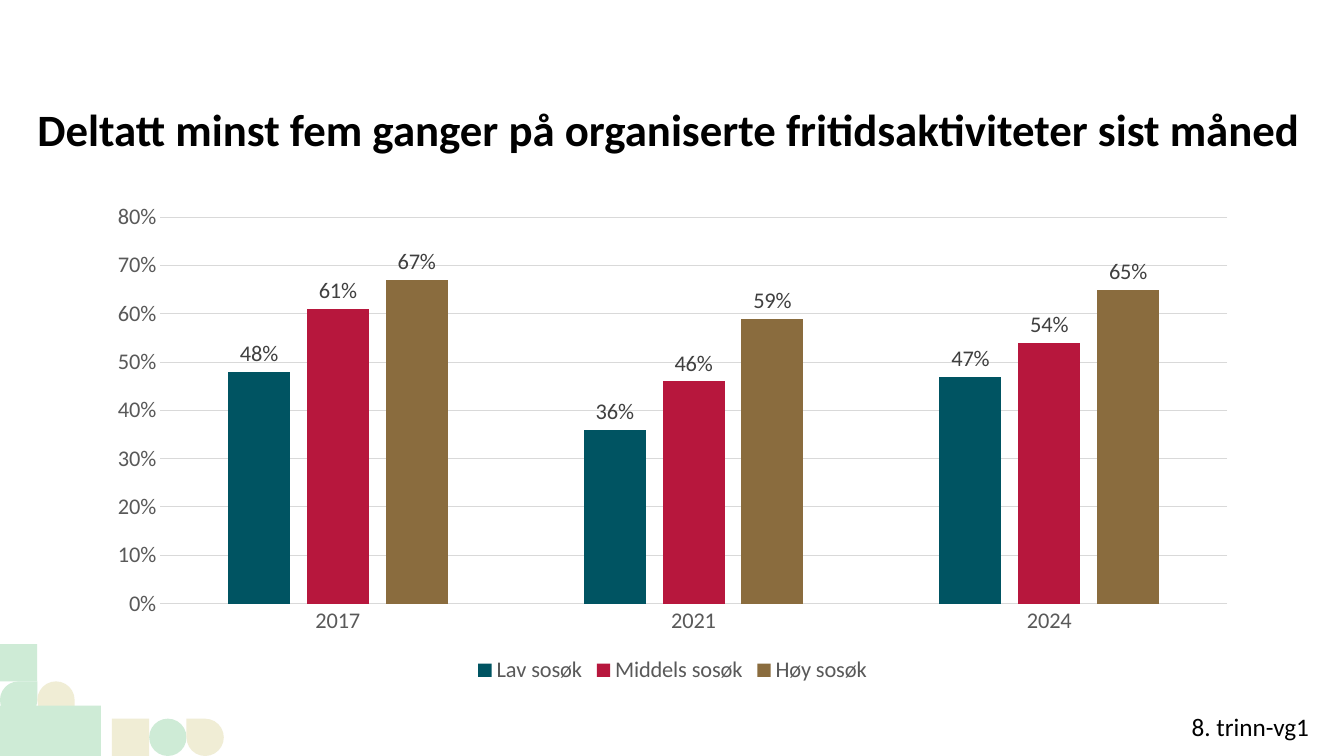
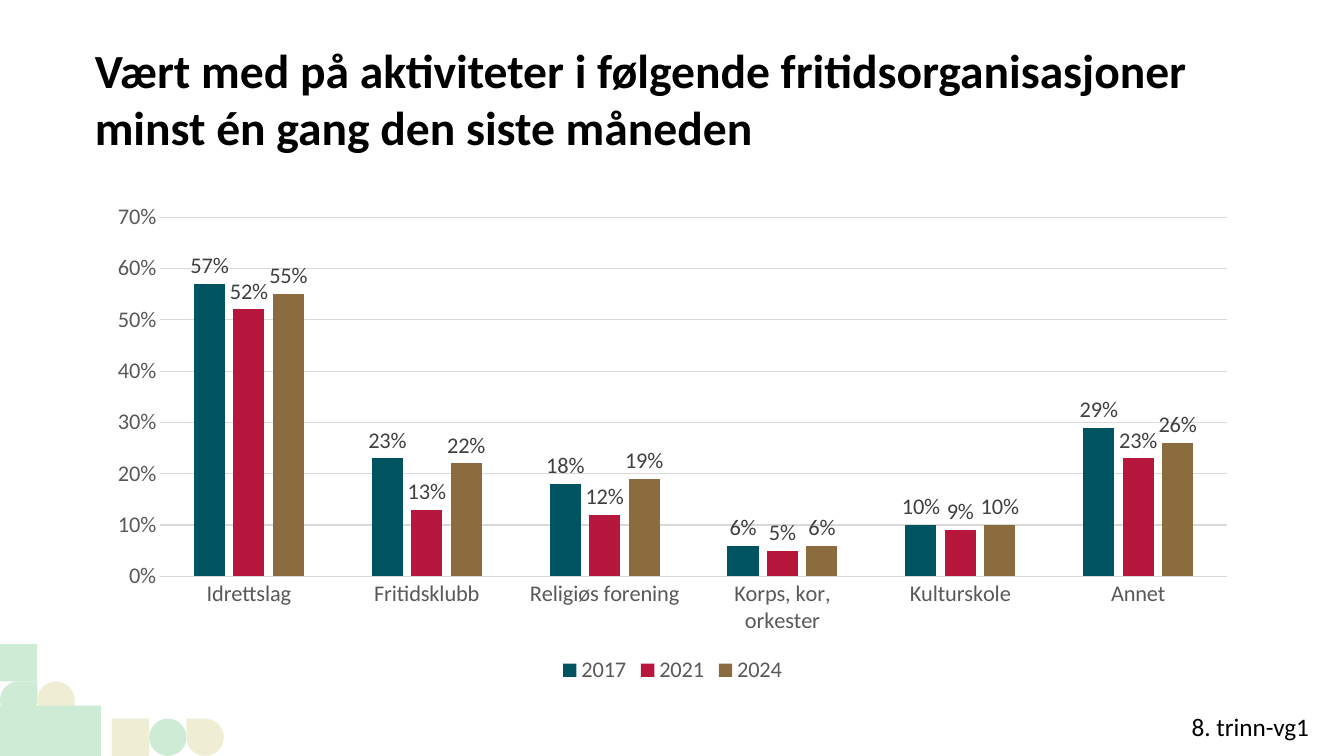
import math

import pptx
import pptx.chart.data
import pptx.dml.color
import pptx.enum.chart
import pptx.enum.shapes
import pptx.enum.text
import pptx.util

Inches = pptx.util.Inches
Pt = pptx.util.Pt
SHAPE = pptx.enum.shapes.MSO_SHAPE

FONT = "Calibri"
BLACK = "000000"
AXIS_TEXT = "595959"
LABEL_TEXT = "404040"
GRID = "D9D9D9"
MINT = "CEEBD6"
CREAM = "F0EDD5"
SERIES_COLORS = ["005462", "B7173D", "8A6C3E"]
PERCENT = "###0%"

TILE = 0.37
MOSAIC_TOP = 6.39
# shape, column, row, colour, rotation
MOSAIC = [
    (SHAPE.RECTANGLE, 0, 0, MINT, 0),
    (SHAPE.TEAR, 0, 1, MINT, 0),
    (SHAPE.TEAR, 1, 1, CREAM, 90),
    (SHAPE.OVAL, 0, 2, CREAM, 0),
    (SHAPE.RECTANGLE, 3, 2, CREAM, 0),
    (SHAPE.OVAL, 4, 2, MINT, 0),
    (SHAPE.TEAR, 5, 2, CREAM, 270),
]


def rgb(color):
    return pptx.dml.color.RGBColor.from_string(color)


def style_font(font, size, color, bold=False):
    font.name = FONT
    font.size = Pt(size)
    font.bold = bold
    font.color.rgb = rgb(color)


def fill_flat(shape, color):
    """Plain fill without outline or shadow."""
    shape.shadow.inherit = False
    shape.fill.solid()
    shape.fill.fore_color.rgb = rgb(color)
    shape.line.fill.background()


def add_mosaic(slide):
    for kind, column, row, color, rotation in MOSAIC:
        tile = slide.shapes.add_shape(
            kind, Inches(column * TILE), Inches(MOSAIC_TOP + row * TILE),
            Inches(TILE), Inches(TILE))
        tile.rotation = rotation
        fill_flat(tile, color)
    add_rounded_tile(slide, TILE, MOSAIC_TOP + 2 * TILE)


def add_rounded_tile(slide, left, top):
    """Two tiles wide, with the lower right corner a quarter circle."""
    angles = [math.radians(degrees) for degrees in range(0, 91, 5)]
    arc = [(left + TILE + TILE * math.cos(a), top + TILE * math.sin(a))
           for a in angles]
    outline = slide.shapes.build_freeform(left, top, scale=Inches(1))
    outline.add_line_segments(arc + [(left, top + TILE)], close=True)
    fill_flat(outline.convert_to_shape(), MINT)


def add_text(slide, text, left, top, width, height, size, bold=False):
    box = slide.shapes.add_textbox(
        Inches(left), Inches(top), Inches(width), Inches(height))
    frame = box.text_frame
    frame.word_wrap = True
    frame.text = text
    style_font(frame.paragraphs[0].font, size, BLACK, bold)
    return frame


def add_title(slide, text, left, width, size):
    frame = add_text(slide, text, left, 0.97, width, 0.57, size, bold=True)
    frame.vertical_anchor = pptx.enum.text.MSO_ANCHOR.BOTTOM
    frame.margin_left = frame.margin_right = 0
    frame.margin_top = frame.margin_bottom = 0


def style_axes(chart, top_value):
    for axis in (chart.category_axis, chart.value_axis):
        axis.major_tick_mark = pptx.enum.chart.XL_TICK_MARK.NONE
        axis.minor_tick_mark = pptx.enum.chart.XL_TICK_MARK.NONE
        style_font(axis.tick_labels.font, 16, AXIS_TEXT)
    values = chart.value_axis
    values.minimum_scale = 0
    values.maximum_scale = top_value
    values.major_unit = 0.1
    values.tick_labels.number_format = PERCENT
    values.tick_labels.number_format_is_linked = False
    values.format.line.fill.background()
    values.has_major_gridlines = True
    for line in (chart.category_axis.format.line,
                 values.major_gridlines.format.line):
        line.color.rgb = rgb(GRID)
        line.width = Pt(0.75)


def style_series(series, color):
    series.format.fill.solid()
    series.format.fill.fore_color.rgb = rgb(color)
    labels = series.data_labels
    labels.show_value = True
    labels.position = pptx.enum.chart.XL_LABEL_POSITION.OUTSIDE_END
    labels.number_format = PERCENT
    labels.number_format_is_linked = False
    style_font(labels.font, 16, LABEL_TEXT)


def add_column_chart(slide, categories, shares, top_value):
    data = pptx.chart.data.CategoryChartData(number_format=PERCENT)
    data.categories = categories
    for name, values in shares.items():
        data.add_series(name, values)
    chart = slide.shapes.add_chart(
        pptx.enum.chart.XL_CHART_TYPE.COLUMN_CLUSTERED,
        Inches(0.94), Inches(1.92), Inches(11.46), Inches(4.91), data).chart
    style_font(chart.font, 16, BLACK)
    chart.has_title = False
    chart.has_legend = True
    chart.legend.position = pptx.enum.chart.XL_LEGEND_POSITION.BOTTOM
    chart.legend.include_in_layout = False
    style_font(chart.legend.font, 16, AXIS_TEXT)
    style_axes(chart, top_value)
    plot = chart.plots[0]
    plot.gap_width = 219
    plot.overlap = -27
    plot.vary_by_categories = False
    for series, color in zip(plot.series, SERIES_COLORS):
        style_series(series, color)


def add_base_slide(deck):
    """Blank slide with the corner mosaic and the grade note."""
    slide = deck.slides.add_slide(deck.slide_layouts[6])
    add_mosaic(slide)
    add_text(slide, "8. trinn-vg1", 11.72, 7.01, 1.46, 0.4, 18)
    return slide


def main():
    deck = pptx.Presentation()
    deck.slide_width = Inches(13.33)
    deck.slide_height = Inches(7.5)

    participation = add_base_slide(deck)
    add_title(
        participation,
        "Deltatt minst fem ganger på organiserte fritidsaktiviteter sist måned",
        0.37, 12.63, 32)
    add_column_chart(participation, ["2017", "2021", "2024"], {
        "Lav sosøk": [0.48, 0.36, 0.47],
        "Middels sosøk": [0.61, 0.46, 0.54],
        "Høy sosøk": [0.67, 0.59, 0.65],
    }, 0.8)

    organisations = add_base_slide(deck)
    add_title(
        organisations,
        "Vært med på aktiviteter i følgende fritidsorganisasjoner "
        "minst én gang den siste måneden",
        0.94, 11.46, 34)
    add_column_chart(organisations, [
        "Idrettslag", "Fritidsklubb", "Religiøs forening",
        "Korps, kor, orkester", "Kulturskole", "Annet",
    ], {
        "2017": [0.57, 0.23, 0.18, 0.06, 0.1, 0.29],
        "2021": [0.52, 0.13, 0.12, 0.05, 0.09, 0.23],
        "2024": [0.55, 0.22, 0.19, 0.06, 0.1, 0.26],
    }, 0.7)

    deck.save("out.pptx")


if __name__ == "__main__":
    main()
